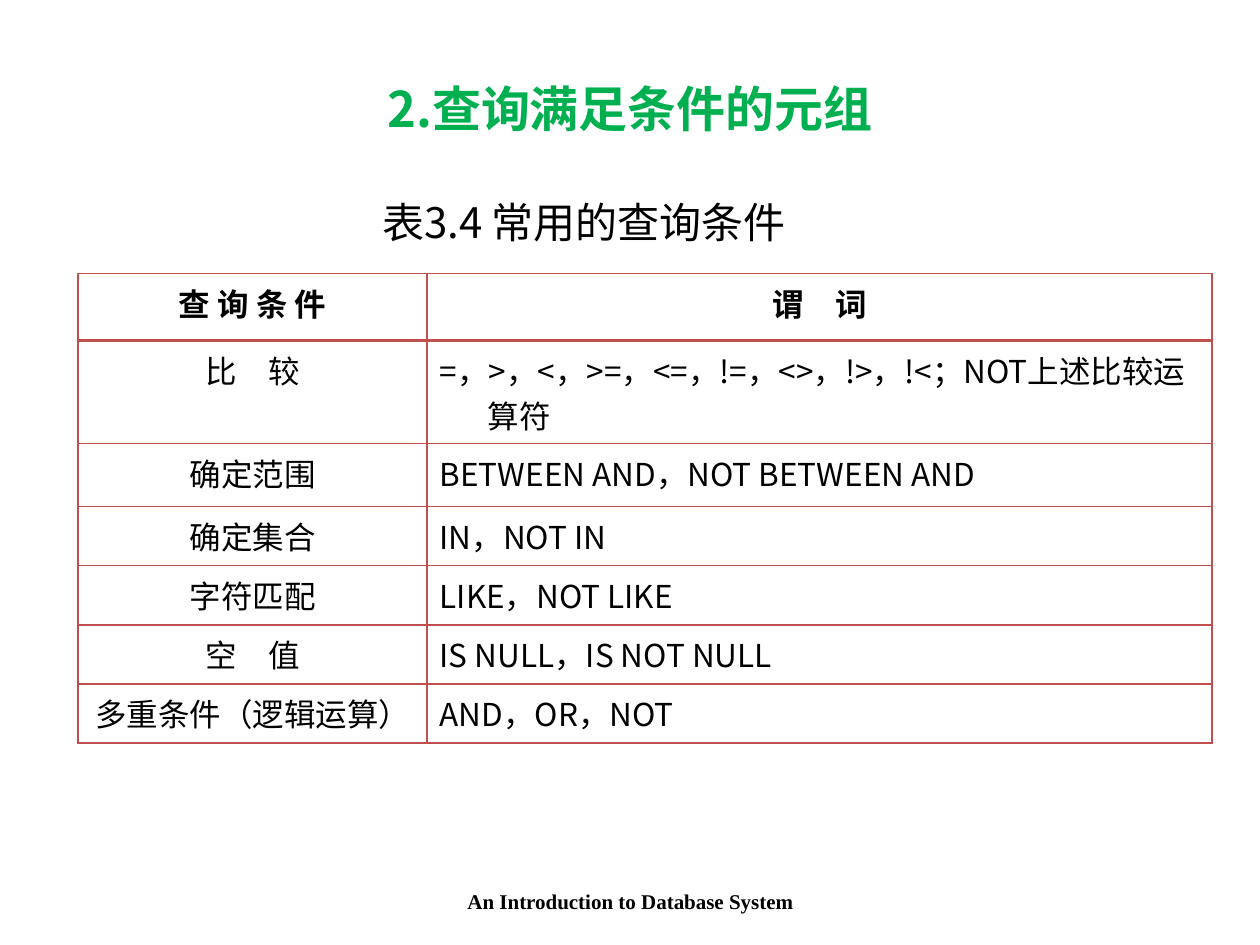
from dataclasses import dataclass

from lxml import etree
from pptx import Presentation
from pptx import util as u
from pptx.dml.color import RGBColor
from pptx.enum import text
from pptx.oxml import ns


@dataclass(frozen=True)
class Theme:
    """Colours, fonts and type sizes of the slide."""
    title: str = "00B050"
    ink: str = "000000"
    rule: str = "C0504D"
    sans: str = "Noto Sans CJK SC"
    serif: str = "Times New Roman"
    title_pt: int = 28
    caption_pt: int = 24
    table_pt: int = 18
    footer_pt: int = 12
    rule_pt: int = 1
    head_rule_pt: int = 2
    hang: float = 0.38


T = Theme()
W, H = 10, 7.5
CENTER, LEFT = text.PP_ALIGN.CENTER, text.PP_ALIGN.LEFT
COLUMNS = (2.77, 6.23)
ROW_HEIGHTS = (0.53, 0.82, 0.5) + (0.47,) * 4
CONDITIONS = (
    ("查 询 条 件", "谓　词"),
    ("比　较", "=，>，<，>=，<=，!=，<>，!>，!<；NOT上述比较运算符"),
    ("确定范围", "BETWEEN AND，NOT BETWEEN AND"),
    ("确定集合", "IN，NOT IN"),
    ("字符匹配", "LIKE，NOT LIKE"),
    ("空　值", "IS NULL，IS NOT NULL"),
    ("多重条件（逻辑运算）", "AND，OR，NOT"),
)


def write(tf, words, size, font=T.sans, color=T.ink, bold=False, align=CENTER, hang=0):
    """Set one formatted paragraph with an optional hanging indent."""
    tf.text = words
    p = tf.paragraphs[0]
    p.alignment = align
    if hang:
        pPr = p._p.get_or_add_pPr()
        pPr.set("marL", str(u.Inches(hang)))
        pPr.set("indent", str(-u.Inches(hang)))
    for r in p.runs:
        r.font.size, r.font.bold, r.font.name = u.Pt(size), bold, font
        r.font.color.rgb = RGBColor.from_string(color)
        ea = etree.SubElement(r._r.get_or_add_rPr(), ns.qn("a:ea"))
        ea.set("typeface", font)


def add_text(s, box, words, size, wrap=True, anchor=text.MSO_ANCHOR.MIDDLE, **style):
    """Place a text box in the given box, in inches."""
    sp = s.shapes.add_textbox(*map(u.Inches, box))
    tf = sp.text_frame
    tf.word_wrap, tf.vertical_anchor = wrap, anchor
    write(tf, words, size, **style)
    return sp


def set_borders(cell, widths):
    """Draw the cell's left, right, top and bottom rules."""
    tcPr = cell._tc.get_or_add_tcPr()
    for i, (side, width) in enumerate(zip("LRTB", widths)):
        ln = etree.Element(ns.qn(f"a:ln{side}"), w=str(u.Pt(width)))
        fill = etree.SubElement(ln, ns.qn("a:solidFill"))
        etree.SubElement(fill, ns.qn("a:srgbClr"), val=T.rule)
        tcPr.insert(i, ln)


def add_conditions(s, box):
    """Place the table of query conditions in the given box."""
    frame = s.shapes.add_table(len(CONDITIONS), len(COLUMNS), *map(u.Inches, box))
    table = frame.table
    table.first_row = table.horz_banding = False
    for column, share in zip(table.columns, COLUMNS):
        column.width = u.Inches(box[2] * share / sum(COLUMNS))
    for i, (row, height) in enumerate(zip(table.rows, ROW_HEIGHTS)):
        row.height = u.Inches(box[3] * height / sum(ROW_HEIGHTS))
        top = T.head_rule_pt if i == 1 else T.rule_pt
        bottom = T.head_rule_pt if i == 0 else T.rule_pt
        for j, cell in enumerate(row.cells):
            cell.fill.background()
            set_borders(cell, (T.rule_pt, T.rule_pt, top, bottom))
            write(cell.text_frame, CONDITIONS[i][j], T.table_pt, bold=i == 0,
                  align=LEFT if i and j else CENTER, hang=T.hang)


def main():
    """Build and save the slide."""
    prs = Presentation()
    prs.slide_width, prs.slide_height = u.Inches(W), u.Inches(H)
    s = prs.slides.add_slide(prs.slide_layouts[6])
    margin = 0.05 * W
    add_text(s, (margin, 0.04 * H, W - 2 * margin, 1.11), "2.查询满足条件的元组",
             T.title_pt, color=T.title, bold=True)
    add_conditions(s, (0.62, 2.17, sum(COLUMNS), sum(ROW_HEIGHTS)))
    add_text(s, (3.42, 6.95, 3.17, 0.4), "An Introduction to Database System",
             T.footer_pt, font=T.serif, bold=True)
    caption = add_text(s, (2.85, 1.51, 3.57, 0.51), "表3.4 常用的查询条件",
                       T.caption_pt, wrap=False, anchor=text.MSO_ANCHOR.TOP, hang=T.hang)
    caption.text_frame.auto_size = text.MSO_AUTO_SIZE.SHAPE_TO_FIT_TEXT
    prs.save("out.pptx")


if __name__ == "__main__":
    main()
